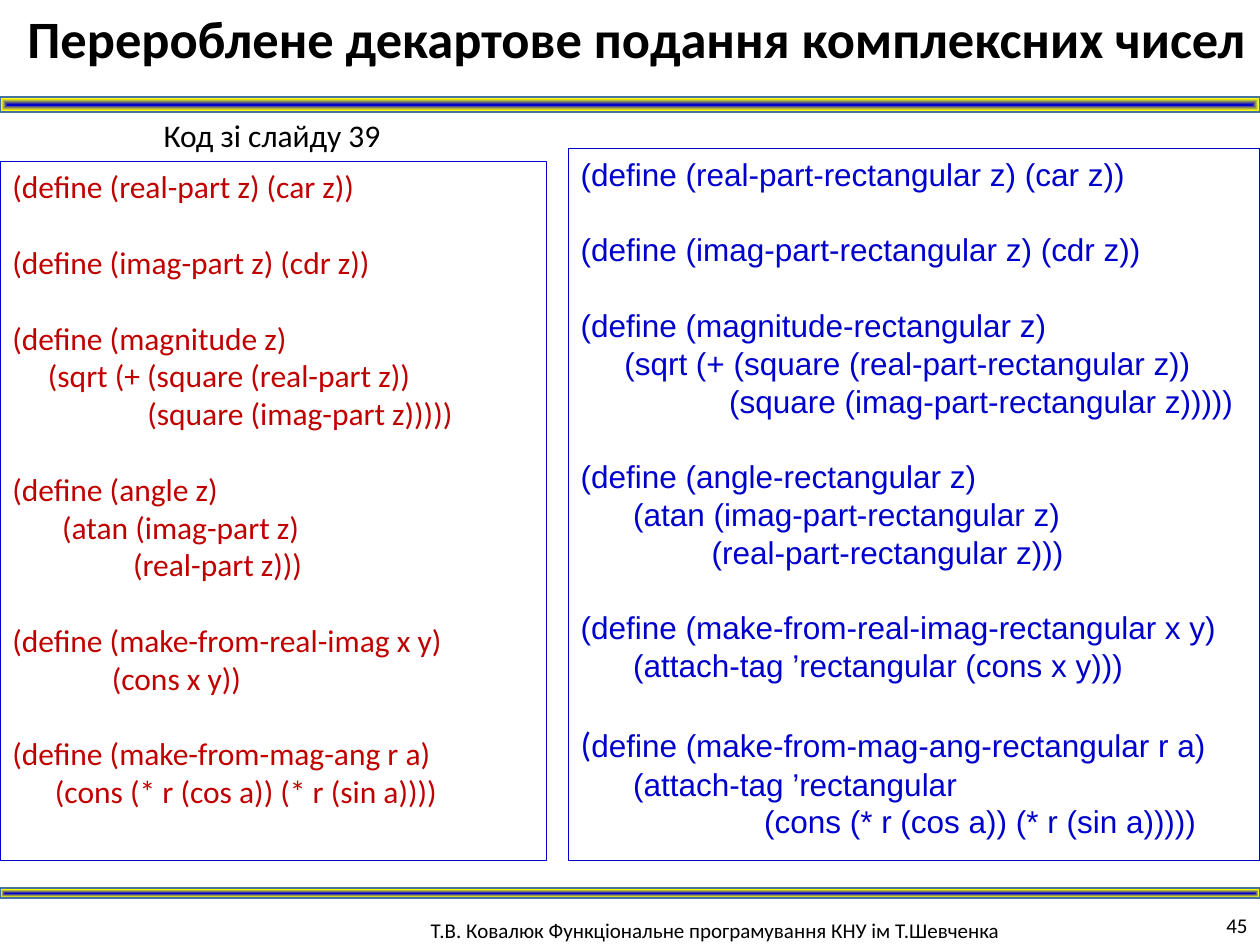
"""Build a slide that compares two versions of complex-number code."""
from dataclasses import dataclass

import pptx
import pptx.dml.color
import pptx.enum.shapes
import pptx.enum.text
import pptx.oxml
import pptx.oxml.ns
import pptx.util

Inches = pptx.util.Inches
Align = pptx.enum.text.PP_ALIGN
Anchor = pptx.enum.text.MSO_ANCHOR


@dataclass(frozen=True)
class Theme:
    ink: str = "000000"
    red: str = "C00000"
    blue: str = "0000CC"
    rule_line: str = "43739E"
    rule_stops: tuple = ((0, "0000CC"), (77, "FFFF00"), (100, "CEE1F2"))
    sans: str = "Calibri"
    code_sans: str = "Arial"
    title: int = 30
    code: int = 18
    bracket: int = 20
    small: int = 12
    pitch: float = 21.6
    bracket_pitch: float = 24.4


@dataclass(frozen=True)
class Area:
    left: float
    top: float
    width: float
    height: float

    def lengths(self) -> tuple:
        return tuple(Inches(n) for n in (self.left, self.top, self.width, self.height))


@dataclass(frozen=True)
class Label:
    text: str
    area: Area
    size: int
    align: Align = Align.LEFT
    anchor: Anchor = Anchor.TOP
    wrap: bool = True
    bold: bool = False


@dataclass(frozen=True)
class Listing:
    code: str
    area: Area
    font: str
    color: str
    bracket_stanza: int | None = None


THEME = Theme()
TITLE = Label("Перероблене декартове подання комплексних чисел",
              Area(0, 0, 10.11, 0.61), THEME.title, Align.CENTER, bold=True)
LABELS = (
    Label("Т.В. Ковалюк Функціональне програмування КНУ ім Т.Шевченка",
          Area(3.32, 7.23, 6, 0.32), THEME.small),
    Label("45", Area(9.31, 7.18, 0.69, 0.32), THEME.small, Align.RIGHT, Anchor.MIDDLE),
    Label("Код зі слайду 39", Area(1.2, 0.87, 1.94, 0.4), THEME.code, wrap=False),
)
RULES = (Area(0, 0.77, 10, 0.12), Area(0, 7.05, 10, 0.08))
PLAIN_CODE = """(define (real-part z) (car z))

(define (imag-part z) (cdr z))

(define (magnitude z)
     (sqrt (+ (square (real-part z))
                   (square (imag-part z)))))

(define (angle z)
       (atan (imag-part z)
                 (real-part z)))

(define (make-from-real-imag x y)
              (cons x y))

(define (make-from-mag-ang r a)
      (cons (* r (cos a)) (* r (sin a))))"""
TAGGED_CODE = """(define (real-part-rectangular z) (car z))

(define (imag-part-rectangular z) (cdr z))

(define (magnitude-rectangular z)
     (sqrt (+ (square (real-part-rectangular z))
                 (square (imag-part-rectangular z)))))

(define (angle-rectangular z)
      (atan (imag-part-rectangular z)
               (real-part-rectangular z)))

(define (make-from-real-imag-rectangular x y)
      (attach-tag ’rectangular (cons x y)))

(define (make-from-mag-ang-rectangular r a)
      (attach-tag ’rectangular
                     (cons (* r (cos a)) (* r (sin a)))))"""
LISTINGS = (
    Listing(TAGGED_CODE, Area(4.51, 1.18, 5.49, 5.65), THEME.code_sans, THEME.blue, 5),
    Listing(PLAIN_CODE, Area(0, 1.28, 4.34, 5.55), THEME.sans, THEME.red),
)


def rgb(color: str) -> pptx.dml.color.RGBColor:
    return pptx.dml.color.RGBColor.from_string(color)


def apply(target, values: dict) -> None:
    for name, value in values.items():
        setattr(target, name, value)


def add_span(para, text: str, font: str, size: int, color: str, bold: bool = False) -> None:
    span = para.add_run()
    span.text = text
    apply(span.font, {"name": font, "size": pptx.util.Pt(size), "bold": bold})
    span.font.color.rgb = rgb(color)


def fill_label(box, label: Label) -> None:
    apply(box, dict(zip(("left", "top", "width", "height"), label.area.lengths())))
    apply(box.text_frame, {"word_wrap": label.wrap, "vertical_anchor": label.anchor,
                           "auto_size": pptx.enum.text.MSO_AUTO_SIZE.NONE})
    para = box.text_frame.paragraphs[0]
    para.alignment = label.align
    add_span(para, label.text, THEME.sans, label.size, THEME.ink, label.bold)


def add_rectangle(page, area: Area, line: str, weight: float):
    box = page.shapes.add_shape(pptx.enum.shapes.MSO_SHAPE.RECTANGLE, *area.lengths())
    box.shadow.inherit = False
    box.fill.background()
    box.line.color.rgb = rgb(line)
    box.line.width = pptx.util.Pt(weight)
    return box


def add_rule(page, area: Area) -> None:
    box = add_rectangle(page, area, THEME.rule_line, 1)
    stops = "".join(f'<a:gs pos="{place * 1000}"><a:srgbClr val="{color}"/></a:gs>'
                    for place, color in THEME.rule_stops)
    gradient = pptx.oxml.parse_xml(
        f'<a:gradFill {pptx.oxml.ns.nsdecls("a")}><a:gsLst>{stops}</a:gsLst>'
        '<a:path path="shape"><a:fillToRect l="50000" t="50000" r="50000" b="50000"/>'
        '</a:path></a:gradFill>')
    properties = box.element.spPr
    properties.replace(properties.find(pptx.oxml.ns.qn("a:noFill")), gradient)


def add_listing(page, listing: Listing) -> None:
    frame = add_rectangle(page, listing.area, THEME.blue, 0.75).text_frame
    apply(frame, {"word_wrap": True, "vertical_anchor": Anchor.TOP})
    for stanza, block in enumerate(listing.code.split("\n\n")):
        for row, line in enumerate(block.split("\n")):
            first = stanza == row == 0
            large = row == 0 and stanza == listing.bracket_stanza
            para = frame.paragraphs[0] if first else frame.add_paragraph()
            gap = THEME.pitch if row == 0 and not first else 0
            pitch = THEME.bracket_pitch if large else THEME.pitch
            apply(para, {"alignment": Align.LEFT, "space_before": pptx.util.Pt(gap),
                         "line_spacing": pptx.util.Pt(pitch)})
            if large:
                add_span(para, line[0], THEME.sans, THEME.bracket, listing.color)
                line = line[1:]
            add_span(para, line, listing.font, THEME.code, listing.color)


def main() -> None:
    deck = pptx.Presentation()
    apply(deck, {"slide_width": Inches(10), "slide_height": Inches(7.5)})
    page = deck.slides.add_slide(deck.slide_layouts.get_by_name("Title Only"))
    fill_label(page.shapes.title, TITLE)
    for area in RULES:
        add_rule(page, area)
    for listing in LISTINGS:
        add_listing(page, listing)
    for label in LABELS:
        fill_label(page.shapes.add_textbox(*label.area.lengths()), label)
    deck.save("out.pptx")


if __name__ == "__main__":
    main()
